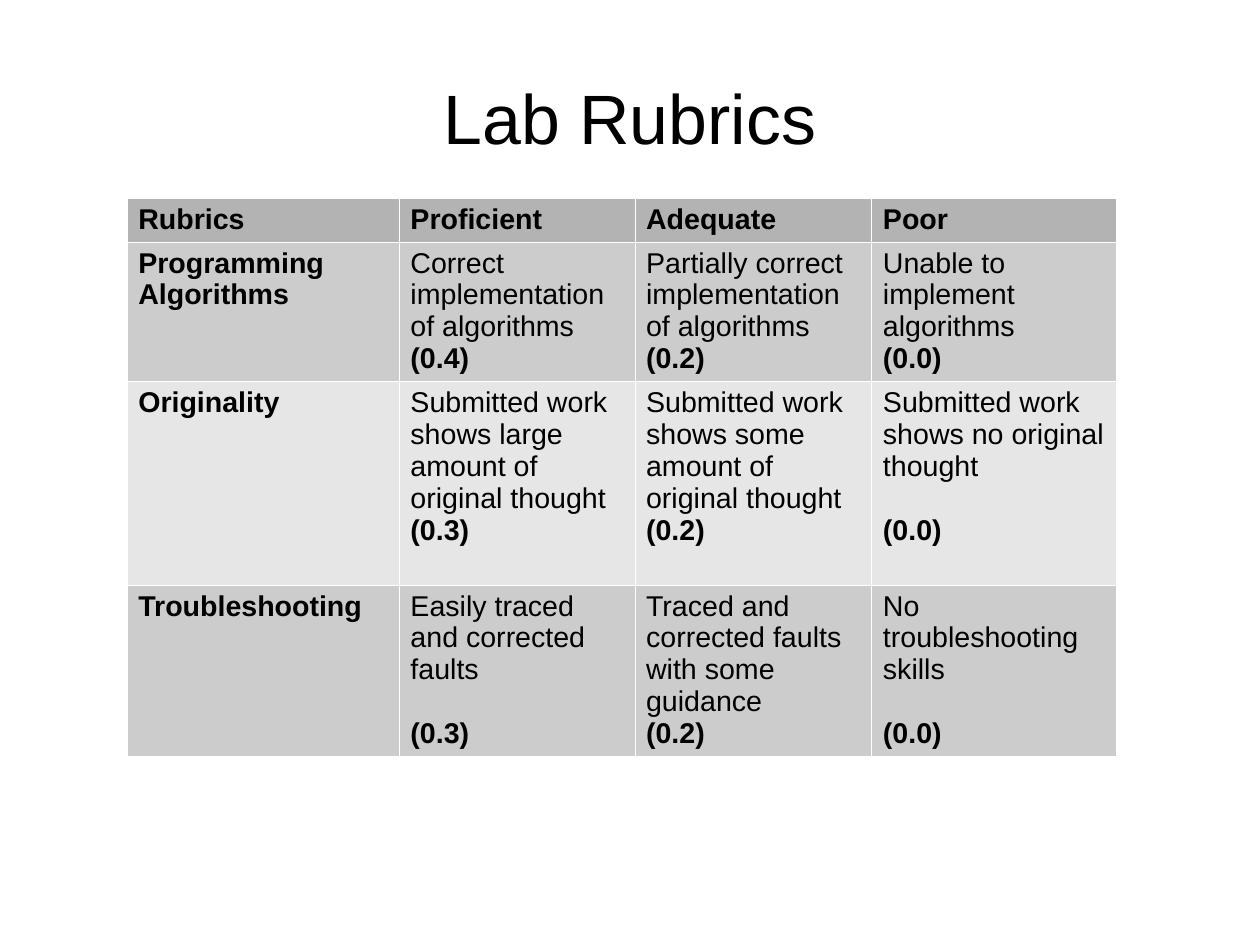
from typing import NamedTuple

from lxml import etree
from pptx import Presentation
from pptx import util as u
from pptx.dml.color import RGBColor
from pptx.enum import text
from pptx.oxml.ns import qn

FONT = "Arial"
BLACK, WHITE = "000000", "FFFFFF"
HEADER_FILL = "B3B3B3"
BAND_FILLS = ("CCCCCC", "E6E6E6")
BODY_SIZE, TITLE_SIZE = 18, 44
LINE_HEIGHT = u.Pt(20)


class Level(NamedTuple):
    description: str
    score: str
    gap_lines: int = 0
    inline_score: bool = False


class Criterion(NamedTuple):
    name: str
    levels: tuple[Level, ...]


HEADINGS = ("Rubrics", "Proficient", "Adequate", "Poor")
CRITERIA = (
    Criterion("Programming Algorithms", (
        Level("Correct implementation of algorithms ", "(0.4)", inline_score=True),
        Level("Partially correct implementation of algorithms", "(0.2)"),
        Level("Unable to implement algorithms", "(0.0)"),
    )),
    Criterion("Originality", (
        Level("Submitted work shows large amount of original thought", "(0.3)"),
        Level("Submitted work shows some amount of original thought", "(0.2)"),
        Level("Submitted work shows no original thought", "(0.0)", gap_lines=1),
    )),
    Criterion("Troubleshooting", (
        Level("Easily traced and corrected faults", "(0.3)", gap_lines=1),
        Level("Traced and corrected faults with some guidance", "(0.2)"),
        Level("No troubleshooting skills", "(0.0)", gap_lines=1),
    )),
)

# Table grid, in percent of the slide's width and height
COLUMN_SHARES = (21.6, 18.7, 18.8, 19.4)
ROW_SHARES = (4.55, 14.8, 21.5, 18.1)

presentation = Presentation()
presentation.slide_width = u.Cm(28)
presentation.slide_height = u.Cm(21)
slide = presentation.slides.add_slide(presentation.slide_layouts[6])


def across(percent: float) -> int:
    return round(presentation.slide_width * percent / 100)


def down(percent: float) -> int:
    return round(presentation.slide_height * percent / 100)


def color(value: str) -> RGBColor:
    return RGBColor.from_string(value)


def add_run(paragraph, words: str, size: float, bold: bool = False) -> None:
    run = paragraph.add_run()
    run.text = words
    run.font.name = FONT
    run.font.size = u.Pt(size)
    run.font.bold = bold
    run.font.color.rgb = color(BLACK)


def style_cell(cell, fill: str) -> None:
    cell.margin_left = cell.margin_right = u.Inches(0.1)
    cell.margin_top = cell.margin_bottom = u.Inches(0.05)
    properties = cell._tc.get_or_add_tcPr()
    for side in ("a:lnL", "a:lnR", "a:lnT", "a:lnB"):
        border = etree.SubElement(properties, qn(side), w=str(u.Pt(0.06)))
        solid = etree.SubElement(border, qn("a:solidFill"))
        etree.SubElement(solid, qn("a:srgbClr"), val=WHITE)
    cell.fill.solid()
    cell.fill.fore_color.rgb = color(fill)
    cell.text_frame.paragraphs[0].line_spacing = LINE_HEIGHT


def write_label(cell, label: str, fill: str) -> None:
    style_cell(cell, fill)
    add_run(cell.text_frame.paragraphs[0], label, BODY_SIZE, bold=True)


def write_level(cell, level: Level, fill: str) -> None:
    style_cell(cell, fill)
    paragraph = cell.text_frame.paragraphs[0]
    add_run(paragraph, level.description, BODY_SIZE)
    if not level.inline_score:
        paragraph = cell.text_frame.add_paragraph()
        paragraph.line_spacing = LINE_HEIGHT
        paragraph.space_before = LINE_HEIGHT * level.gap_lines
    add_run(paragraph, level.score, BODY_SIZE, bold=True)


# Title
title = slide.shapes.add_textbox(across(5), down(4), across(90), down(16.7))
frame = title.text_frame
frame.word_wrap = True
frame.vertical_anchor = text.MSO_ANCHOR.MIDDLE
frame.margin_left = frame.margin_right = frame.margin_top = frame.margin_bottom = 0
frame.paragraphs[0].alignment = text.PP_ALIGN.CENTER
add_run(frame.paragraphs[0], "Lab Rubrics", TITLE_SIZE)

# Rubric table
table = slide.shapes.add_table(
    len(ROW_SHARES), len(COLUMN_SHARES), across(10.07), down(21),
    across(sum(COLUMN_SHARES)), down(sum(ROW_SHARES))).table
for column, share in zip(table.columns, COLUMN_SHARES):
    column.width = across(share)
for row, share in zip(table.rows, ROW_SHARES):
    row.height = down(share)

# Header row
for column_index, heading in enumerate(HEADINGS):
    write_label(table.cell(0, column_index), heading, HEADER_FILL)

# One banded row per criterion
for row_index, criterion in enumerate(CRITERIA, start=1):
    band = BAND_FILLS[(row_index - 1) % len(BAND_FILLS)]
    write_label(table.cell(row_index, 0), criterion.name, band)
    for column_index, level in enumerate(criterion.levels, start=1):
        write_level(table.cell(row_index, column_index), level, band)

presentation.save("out.pptx")
